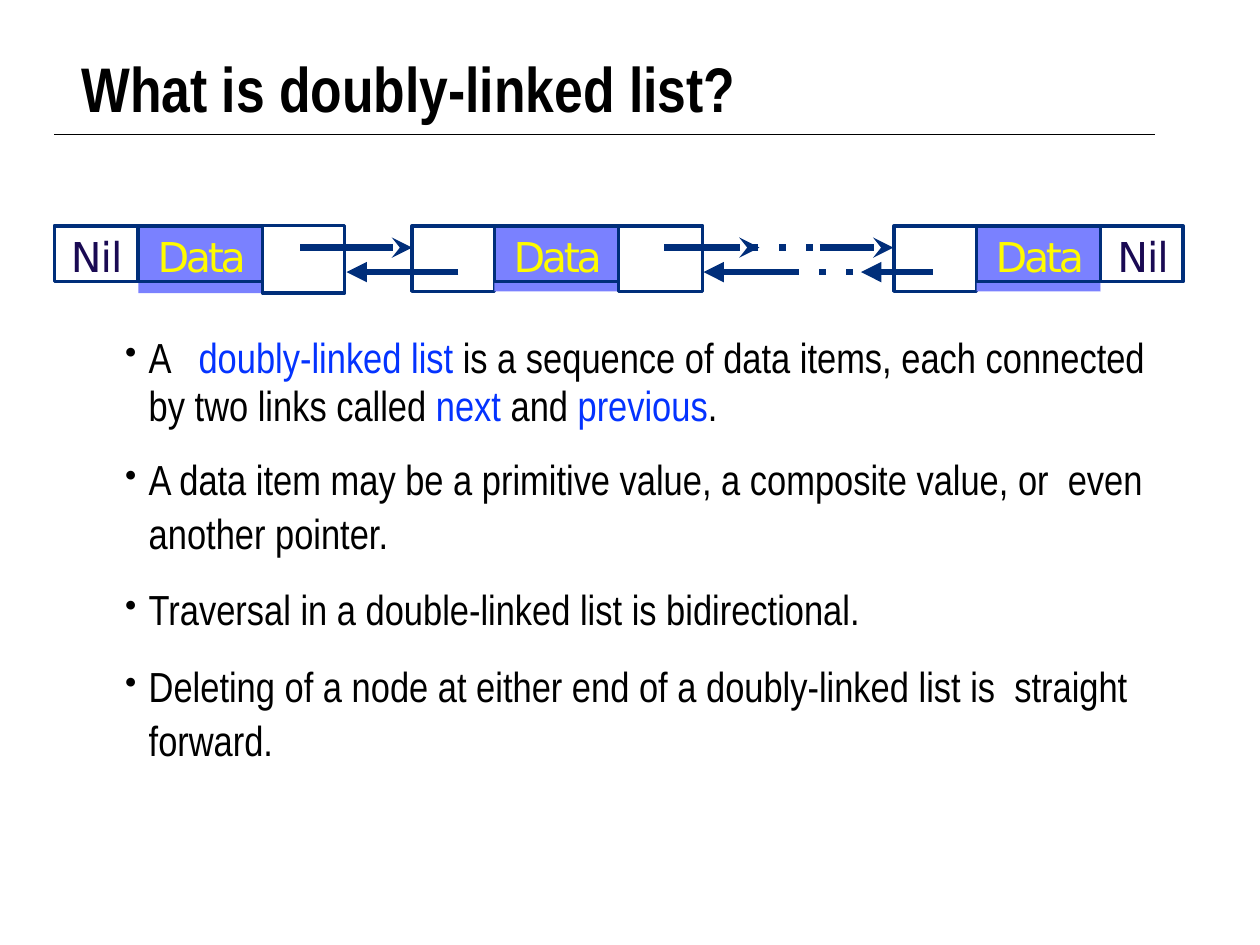
from lxml import etree
from pptx import Presentation
from pptx.dml import color
from pptx.enum import dml, shapes, text
from pptx.oxml import ns
from pptx.util import Pt

NAVY, BLACK, WHITE = "002E7A", "000000", "FFFFFF"
VIOLET, YELLOW, PURPLE, BLUE = "7A81FF", "FFFB00", "1A0A53", "0433FF"
NARROW, SANS = "Arial Narrow", "DejaVu Sans"


def rgb(code):
    """Turn a hex string into a colour."""
    return color.RGBColor.from_string(code)


def add_xml(parent, tag, **attributes):
    """Append a drawing element with its attributes."""
    return etree.SubElement(parent, ns.qn(tag), attributes)


def add_run(paragraph, words, size, face, ink, bold=False, spacing=None):
    """Append one formatted run."""
    run = paragraph.add_run()
    run.text = words
    run.font.size, run.font.name, run.font.bold = Pt(size), face, bold
    run.font.color.rgb = rgb(ink)
    if spacing is not None:
        run._r.get_or_add_rPr().set("spc", str(spacing))


def set_frame(frame, left=0, top=0):
    """Set wrapping, top anchoring and insets of a text frame."""
    frame.word_wrap = True
    frame.vertical_anchor = text.MSO_ANCHOR.TOP
    frame.margin_left, frame.margin_top = Pt(left), Pt(top)
    frame.margin_right = frame.margin_bottom = 0
    return frame


def add_line(slide, start, end, ink, width, head=None, dotted=False):
    """Draw a straight line, with an arrowhead at its end if one is given."""
    line = slide.shapes.add_connector(
        shapes.MSO_CONNECTOR.STRAIGHT, *map(Pt, (*start, *end)))
    line.line.color.rgb, line.line.width = rgb(ink), Pt(width)
    if dotted:
        line.line.dash_style = dml.MSO_LINE.ROUND_DOT
        line.line._ln.find(ns.qn("a:prstDash")).set("val", "dot")
    if head:
        add_xml(line.line._ln, "a:tailEnd", type=head, w="med", len="med")
    add_xml(line._element.spPr, "a:effectLst")


def add_box(slide, left, top, width, height, fill=None, outlined=False):
    """Draw a rectangle with an optional fill and outline."""
    box = slide.shapes.add_shape(
        shapes.MSO_SHAPE.RECTANGLE, *map(Pt, (left, top, width, height)))
    box.shadow.inherit = False
    if fill:
        box.fill.solid()
        box.fill.fore_color.rgb = rgb(fill)
    else:
        box.fill.background()
    if outlined:
        box.line.color.rgb, box.line.width = rgb(NAVY), Pt(2)
    else:
        box.line.fill.background()
    return box


def add_title(slide, left, top, width, height):
    """Place the heading and the rule below it."""
    heading = slide.shapes.add_textbox(*map(Pt, (left, top, width, height)))
    paragraph = set_frame(heading.text_frame, 1, 1).paragraphs[0]
    add_run(paragraph, "What is doubly-linked list?", 36, NARROW, BLACK, bold=True)
    rule_y = top + height + 5
    add_line(slide, (left - 14.5, rule_y), (left + width, rule_y), BLACK, 0.75)


def add_node(slide, left, top, height, cells):
    """Draw the cells of one list node from left to right."""
    styles = {"Data": (VIOLET, YELLOW, 11, -190), "Nil": (WHITE, PURPLE, 9.5, -60)}
    for label, width in cells:
        if label:
            fill, ink, inset, spacing = styles[label]
            add_box(slide, left, top, width, height, fill)
            front = add_box(slide, left, top, width, 32, outlined=True)
            paragraph = set_frame(front.text_frame, inset, 3.5).paragraphs[0]
            paragraph.alignment = text.PP_ALIGN.LEFT
            add_run(paragraph, label, 23.5, SANS, ink, spacing=spacing)
        else:
            add_box(slide, left, top, width, height, WHITE, outlined=True)
        left += width


def add_list(slide, left, top):
    """Draw the three nodes and the links between them."""
    nodes = [
        (0, 38.5, [("Nil", 48), ("Data", 71), ("", 47)]),
        (204.5, 37.5, [("", 47), ("Data", 71), ("", 48)]),
        (480, 37.5, [("", 47), ("Data", 71), ("Nil", 47)]),
    ]
    for offset, height, cells in nodes:
        add_node(slide, left + offset, top, height, cells)
    rows = [
        (12.5, "stealth", (449, 394), [(140.5, 204.5), (348.5, 403), (437.5, 479.5)]),
        (26.5, "triangle", (472, 417), [(231, 167), (425.5, 371), (502, 461)]),
    ]
    for drop, head, dots, links in rows:
        y = top + drop
        add_line(slide, (left + dots[0], y), (left + dots[1], y),
                 NAVY, 3.87, dotted=True)
        for start, end in links:
            add_line(slide, (left + start, y), (left + end, y), NAVY, 3.87, head)


def add_points(slide, left, top, width, height):
    """Place the bulleted explanation."""
    points = [
        (Pt(27.2), 0, [
            ("A\t", BLACK), ("doubly-linked list ", BLUE),
            ("is a sequence of data items, each connected by two links called ", BLACK),
            ("next ", BLUE), ("and ", BLACK), ("previous", BLUE), (".", BLACK)]),
        (1.06, 12.3, [("A data item may be a primitive value, a composite value, "
                       "or  even another pointer.", BLACK)]),
        (1.0, 15, [("Traversal in a double-linked list is bidirectional.", BLACK)]),
        (1.06, 13.5, [("Deleting of a node at either end of a doubly-linked list "
                       "is  straight forward.", BLACK)]),
    ]
    body = slide.shapes.add_textbox(*map(Pt, (left, top, width, height)))
    frame = set_frame(body.text_frame, 0, 1)
    for index, (leading, before, runs) in enumerate(points):
        paragraph = frame.add_paragraph() if index else frame.paragraphs[0]
        properties = paragraph._p.get_or_add_pPr()
        properties.set("marL", str(Pt(18)))
        properties.set("indent", str(Pt(-13.5)))
        add_xml(properties, "a:buSzPct", val="80000")
        add_xml(properties, "a:buChar", char="•")
        tabs = add_xml(properties, "a:tabLst")
        for stop in (18, 46.5):
            add_xml(tabs, "a:tab", pos=str(Pt(stop)), algn="l")
        paragraph.line_spacing = leading
        paragraph.space_before = Pt(before)
        for words, ink in runs:
            add_run(paragraph, words, 24, NARROW, ink)


def main():
    """Build the slide and save it."""
    deck = Presentation()
    deck.slide_width, deck.slide_height = Pt(720), Pt(540)
    slide = deck.slides.add_slide(deck.slide_layouts[6])
    add_title(slide, 45.5, 27.5, 614.5, 44.5)
    add_points(slide, 67, 190, 593, 249)
    add_list(slide, 31, 129)
    deck.save("out.pptx")


if __name__ == "__main__":
    main()
